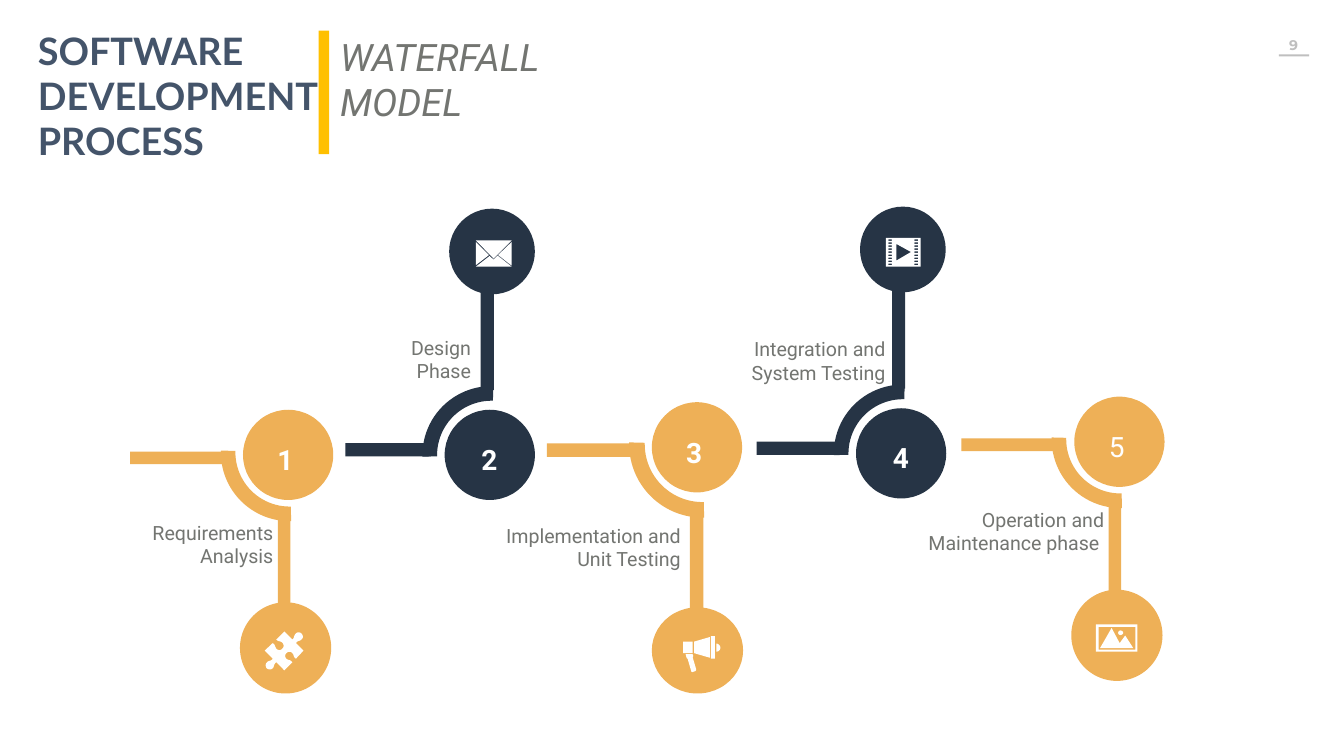
from dataclasses import dataclass

from pptx import Presentation
from pptx.dml.color import RGBColor
from pptx.enum.shapes import MSO_SHAPE
from pptx.enum.text import MSO_ANCHOR, MSO_AUTO_SIZE, PP_ALIGN
from pptx.util import Inches, Pt

AMBER = RGBColor(0xEE, 0xB0, 0x57)
NAVY = RGBColor(0x26, 0x34, 0x45)
SLATE = RGBColor(0x44, 0x54, 0x6A)
GRAY = RGBColor(0x73, 0x75, 0x71)
SILVER = RGBColor(0xBF, 0xBF, 0xBF)
GOLD = RGBColor(0xFF, 0xC0, 0x00)
WHITE = RGBColor(0xFF, 0xFF, 0xFF)

BADGE = 1.79
CURVE_STEPS = 8


@dataclass
class Stage:
    number: str
    label: str
    label_at: tuple
    badge_at: tuple
    arc: tuple
    run: tuple
    icon_circle: tuple
    icon: list
    rising: bool = False
    bold: bool = True


def rectangle(left, top, width, height):
    right, bottom = left + width, top + height
    return [(left, top), (left, bottom), (right, bottom), (right, top)]


PUZZLE = [[
    (5.98, 12.57), (6.01, 12.6, 6.02, 12.65, 5.99, 12.68), (5.95, 12.73, 5.91, 12.7, 5.87, 12.76),
    (6.02, 12.91), (5.87, 13.07), (5.81, 13.03, 5.84, 12.99, 5.79, 12.95),
    (5.76, 12.92, 5.71, 12.93, 5.68, 12.96), (5.66, 12.98, 5.64, 13.03, 5.68, 13.07),
    (5.73, 13.11, 5.75, 13.08, 5.8, 13.14), (5.64, 13.3), (5.48, 13.14),
    (5.42, 13.19, 5.45, 13.21, 5.41, 13.26), (5.37, 13.3, 5.32, 13.28, 5.29, 13.26),
    (5.27, 13.23, 5.26, 13.18, 5.29, 13.15), (5.32, 13.1, 5.37, 13.13, 5.41, 13.07),
    (5.25, 12.91), (5.41, 12.76), (5.47, 12.8, 5.45, 12.84, 5.49, 12.88),
    (5.53, 12.91, 5.58, 12.9, 5.6, 12.87), (5.63, 12.85, 5.64, 12.79, 5.6, 12.75),
    (5.55, 12.71, 5.53, 12.74, 5.48, 12.69), (5.64, 12.53), (5.8, 12.69),
    (5.85, 12.64, 5.82, 12.62, 5.87, 12.57), (5.9, 12.53, 5.96, 12.55, 5.98, 12.57),
]]
ENVELOPE = [
    [(9.87, 5.07), (10.15, 5.29), (9.44, 5.29), (9.71, 5.08), (9.79, 5.15)],
    [(10.15, 4.8), (10.15, 5.27), (9.88, 5.06)],
    [(9.44, 4.8), (9.7, 5.06), (9.44, 5.26)],
    [(9.44, 4.77), (10.15, 4.77), (9.79, 5.13)],
]
MEGAPHONE = [
    [(13.74, 12.98), (13.75, 13.01), (13.75, 13.02, 13.75, 13.03, 13.74, 13.04), (13.81, 13.28),
     (13.81, 13.3, 13.8, 13.32, 13.78, 13.32), (13.75, 13.33),
     (13.73, 13.34, 13.71, 13.33, 13.71, 13.31), (13.64, 13.07),
     (13.63, 13.07, 13.62, 13.06, 13.62, 13.05), (13.6, 12.98)],
    [(14.21, 12.77), (14.25, 12.77, 14.29, 12.81, 14.29, 12.85),
     (14.29, 12.9, 14.25, 12.93, 14.21, 12.93)],
    rectangle(13.55, 12.73, 0.19, 0.23),
    [(14.08, 12.64), (14.08, 13.05), (13.77, 12.96), (13.77, 12.73)],
    rectangle(14.1, 12.62, 0.08, 0.45),
]
FILM = [
    rectangle(17.57, 4.72, 0.69, 0.57),
    [(17.78, 4.84), (17.78, 5.17), (18.07, 5)],
    *[rectangle(left, 4.75 + 0.06 * row, 0.07, 0.03) for row in range(9) for left in (17.62, 18.14)],
]
LANDSCAPE = [
    rectangle(21.74, 12.39, 0.82, 0.54),
    rectangle(21.79, 12.44, 0.73, 0.45),
    [(22.05, 12.46), (22.21, 12.76), (22.32, 12.61), (22.48, 12.86), (21.82, 12.86)],
    [(22.23, 12.51), (22.25, 12.51, 22.28, 12.53, 22.28, 12.56),
     (22.28, 12.58, 22.25, 12.6, 22.23, 12.6), (22.2, 12.6, 22.18, 12.58, 22.18, 12.56),
     (22.18, 12.53, 22.2, 12.51, 22.23, 12.51)],
]

STAGES = [
    Stage("1", "Requirements\nAnalysis", (1.68, 10.28), (4.82, 8.13), (4.38, 7.61, 2.73),
          (2.58, 4.45), (4.76, 11.95, 1.81, 1.81), PUZZLE),
    Stage("2", "Design\nPhase", (5.6, 6.61), (8.82, 8.13), (8.38, 7.66, 2.74),
          (6.85, 8.55), (8.91, 4.14, 1.7, 1.7), ENVELOPE, rising=True),
    Stage("3", "Implementation and\nUnit Testing", (9.76, 10.34), (12.93, 7.98), (12.48, 7.36, 2.91),
          (10.85, 12.66), (12.93, 12.05, 1.81, 1.71), MEGAPHONE),
    Stage("4", "Integration and\nSystem Testing", (13.82, 6.64), (16.98, 8.1), (16.54, 7.63, 2.74),
          (15.01, 16.71), (17.06, 4.1, 1.7, 1.7), FILM, rising=True),
    Stage("5", "Operation and\nMaintenance phase ", (18.16, 10.02), (21.31, 7.87), (20.86, 7.35, 2.73),
          (19.07, 20.94), (21.25, 11.7, 1.81, 1.81), LANDSCAPE, bold=False),
]


def write_text(text_frame, text, size, color, font="Roboto", bold=False, italic=False,
               align=PP_ALIGN.LEFT):
    text_frame.word_wrap = True
    text_frame.auto_size = MSO_AUTO_SIZE.NONE
    text_frame.vertical_anchor = MSO_ANCHOR.TOP
    text_frame.text = text
    for paragraph in text_frame.paragraphs:
        paragraph.alignment = align
        for run in paragraph.runs:
            run.font.name = font
            run.font.size = Pt(size)
            run.font.bold = bold
            run.font.italic = italic
            run.font.color.rgb = color


def flatten(contour):
    points = [contour[0]]
    for segment in contour[1:]:
        if len(segment) == 2:
            points.append(segment)
            continue
        x0, y0 = points[-1]
        x1, y1, x2, y2, x3, y3 = segment
        for step in range(1, CURVE_STEPS + 1):
            t = step / CURVE_STEPS
            u = 1 - t
            weights = (u ** 3, 3 * u * u * t, 3 * u * t * t, t ** 3)
            points.append((sum(w * x for w, x in zip(weights, (x0, x1, x2, x3))),
                           sum(w * y for w, y in zip(weights, (y0, y1, y2, y3)))))
    return [(Inches(x), Inches(y)) for x, y in points]


class SlideBuilder:
    def __init__(self, slide):
        self.slide = slide

    def title(self, text, box, **style):
        shape = self.slide.shapes.title
        shape.left, shape.top, shape.width, shape.height = map(Inches, box)
        write_text(shape.text_frame, text, **style)

    def text(self, text, box, **style):
        shape = self.slide.shapes.add_textbox(*map(Inches, box))
        write_text(shape.text_frame, text, **style)

    def paint(self, shape, color):
        shape.shadow.inherit = False
        shape.fill.solid()
        shape.fill.fore_color.rgb = color
        shape.line.fill.background()

    def shape(self, kind, box, color):
        shape = self.slide.shapes.add_shape(kind, *map(Inches, box))
        self.paint(shape, color)
        return shape

    def arc(self, left, top, size, rotation, color):
        shape = self.shape(MSO_SHAPE.BLOCK_ARC, (left, top, size, size), color)
        shape.rotation = rotation
        for index, value in enumerate((161.244, 0.899, 0.106)):
            shape.adjustments[index] = value

    def icon(self, contours, color):
        first, *others = map(flatten, contours)
        builder = self.slide.shapes.build_freeform(*first[0])
        builder.add_line_segments(first[1:], close=True)
        for points in others:
            builder.move_to(*points[0])
            builder.add_line_segments(points[1:], close=True)
        self.paint(builder.convert_to_shape(), color)

    def stage(self, stage):
        color = NAVY if stage.rising else AMBER
        left, top, size = stage.arc
        start, end = stage.run
        scale = size / 2.73
        thickness = (0.26 if stage.rising else 0.25) * scale
        if stage.rising:
            rotation, run_offset, stem_offset, stem_top, stem_length = 270, 1.13, 1.15, -1.97, 2.05
            number_offset = (0.03, 0.6)
        else:
            rotation, run_offset, stem_offset, stem_top, stem_length = 180, 1.35, 1.13, 2.58, 2.04
            number_offset = (-0.02, 0.61)
        self.arc(left, top, size, rotation, color)
        self.shape(MSO_SHAPE.RECTANGLE,
                   (start, top + run_offset * scale, end - start, thickness), color)
        self.shape(MSO_SHAPE.RECTANGLE,
                   (left + stem_offset * scale, top + stem_top * scale, thickness,
                    stem_length * scale), color)
        self.shape(MSO_SHAPE.OVAL, (*stage.badge_at, BADGE, BADGE), color)
        self.shape(MSO_SHAPE.OVAL, stage.icon_circle, color)
        self.icon(stage.icon, WHITE)
        number_at = [edge + offset for edge, offset in zip(stage.badge_at, number_offset)]
        self.text(stage.number, (*number_at, 1.72, 0.77), size=40, color=WHITE,
                  bold=stage.bold, align=PP_ALIGN.CENTER)
        self.text(stage.label, (*stage.label_at, 3.84, 1.04), size=28, color=GRAY,
                  align=PP_ALIGN.RIGHT)


def main():
    presentation = Presentation()
    presentation.slide_width = Inches(26.66)
    presentation.slide_height = Inches(15)
    builder = SlideBuilder(presentation.slides.add_slide(presentation.slide_layouts[5]))
    builder.title("SOFTWARE\nDEVELOPMENT\nPROCESS", (0.65, 0.49, 11.05, 2.83),
                  size=54, color=SLATE, font="Lato", bold=True)
    builder.shape(MSO_SHAPE.RECTANGLE, (6.32, 0.61, 0.21, 2.45), GOLD)
    builder.text("WATERFALL\nMODEL", (6.65, 0.61, 6.02, 1.92), size=54, color=GRAY, italic=True)
    builder.text("9", (25.16, 0.67, 1, 0.44), size=20, color=SILVER, font="Montserrat",
                 bold=True, align=PP_ALIGN.CENTER)
    builder.shape(MSO_SHAPE.RECTANGLE, (25.37, 1.08, 0.6, 0.04), SILVER)
    for stage in STAGES:
        builder.stage(stage)
    presentation.save("out.pptx")


if __name__ == "__main__":
    main()
